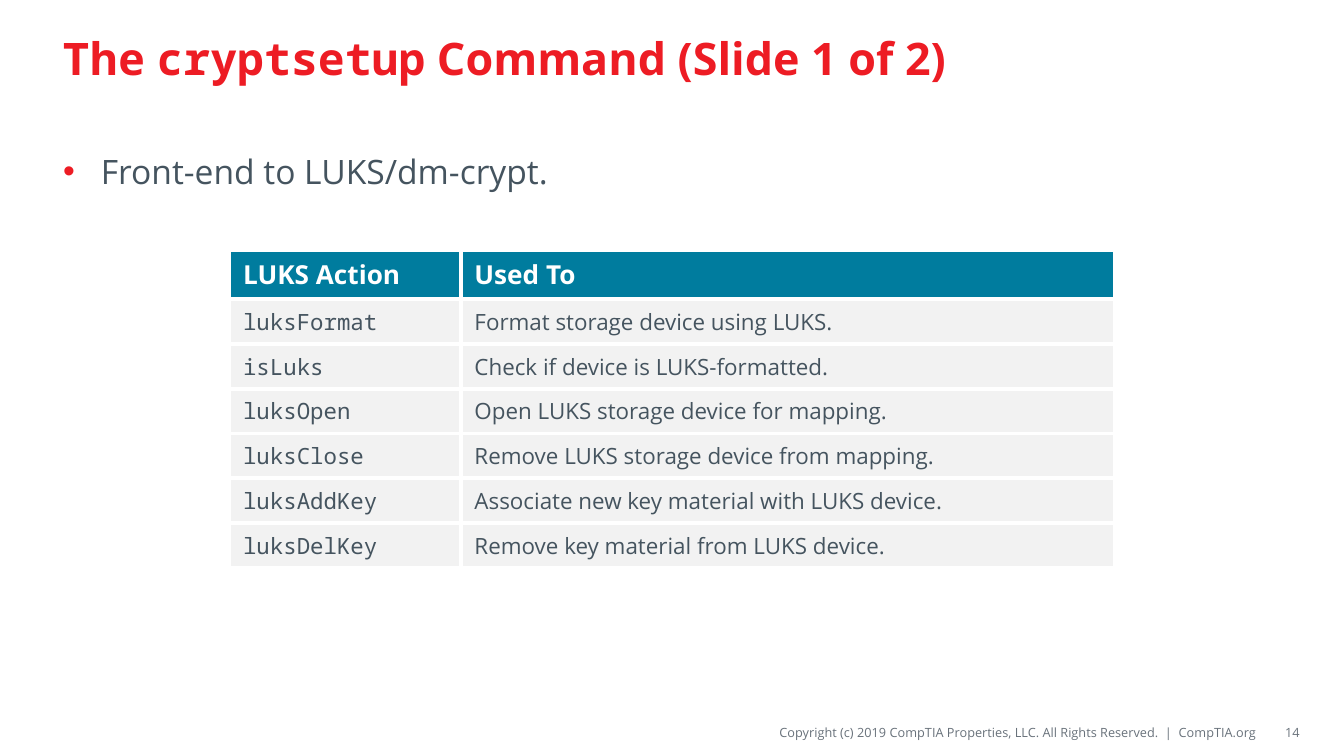
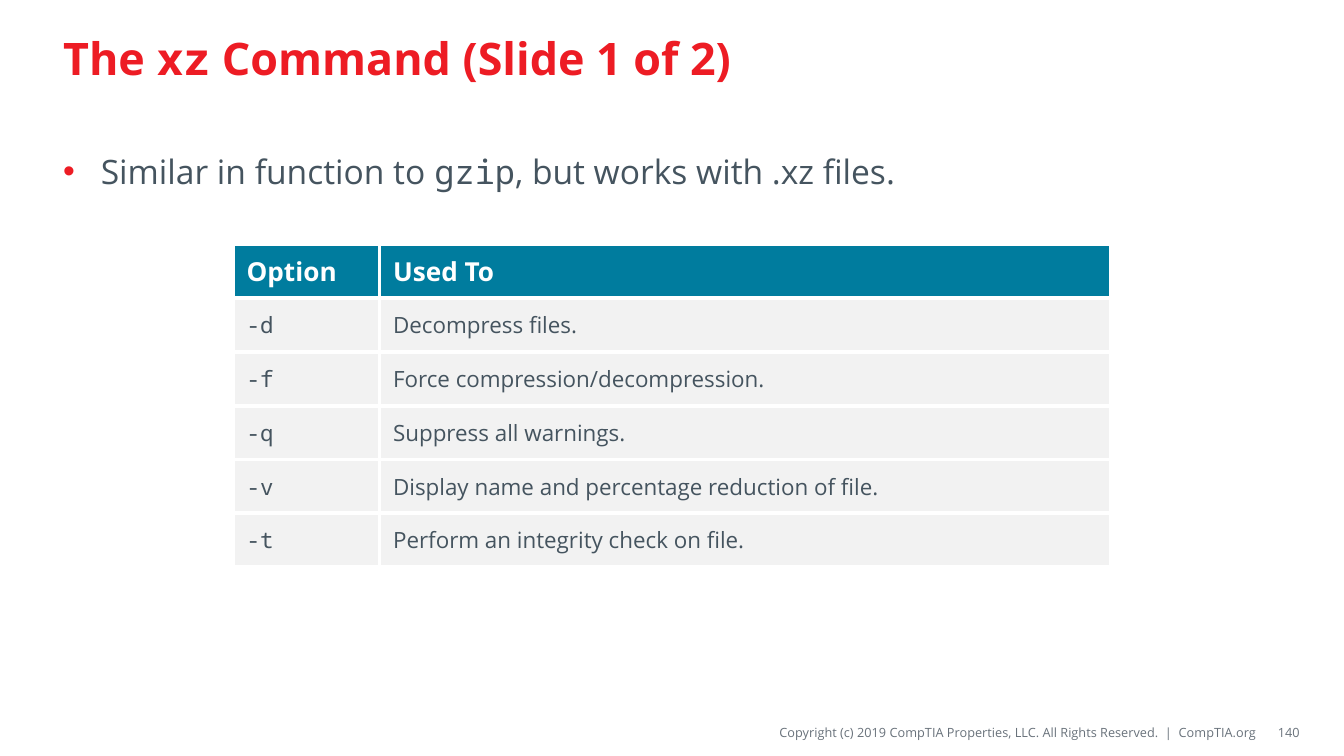
"""Build two slides on Linux commands, each with a title, a bullet and a table."""
import pptx
import pptx.dml.color
import pptx.enum.text
import pptx.oxml
import pptx.oxml.ns
import pptx.util

Pt = pptx.util.Pt
ALIGN = pptx.enum.text.PP_ALIGN
MIDDLE = pptx.enum.text.MSO_ANCHOR.MIDDLE

COLOURS = {
    "title": "ED1C24",
    "text": "45545F",
    "footer": "69727B",
    "header": "007C9E",
    "row": "F2F2F2",
    "white": "FFFFFF",
}
SANS, MONO = "Open Sans", "Noto Sans Mono"
PAGE_WIDTH, PAGE_HEIGHT = 720, 405
TITLE_AREA = (26.6, 5.8, 666, 49.7)
BODY_AREA = (26.6, 77, 666, 281)
COPYRIGHT_AREA = (279.4, 384.5, 393.8, 15.8)
NUMBER_AREA = (675.4, 384.5, 20.9, 15.8)
BULLET_INDENT = 20.2
BORDER_WIDTH = 2.25
COPYRIGHT = "Copyright (c) 2019 CompTIA Properties, LLC. All Rights Reserved.  |  CompTIA.org"

SLIDES = [
    {
        "number": "14",
        "title": "The `cryptsetup` Command (Slide 1 of 2)",
        "bullet": "Front-end to LUKS/dm-crypt.",
        "top": 134,
        "columns": (124, 350),
        "row_height": 24,
        "rows": [
            ("LUKS Action", "Used To"),
            ("`luksFormat`", "Format storage device using LUKS."),
            ("`isLuks`", "Check if device is LUKS-formatted."),
            ("`luksOpen`", "Open LUKS storage device for mapping."),
            ("`luksClose`", "Remove LUKS storage device from mapping."),
            ("`luksAddKey`", "Associate new key material with LUKS device."),
            ("`luksDelKey`", "Remove key material from LUKS device."),
        ],
    },
    {
        "number": "140",
        "title": "The `xz` Command (Slide 1 of 2)",
        "bullet": "Similar in function to `gzip`, but works with .xz files.",
        "top": 131,
        "columns": (78.5, 391.7),
        "row_height": 28.8,
        "rows": [
            ("Option", "Used To"),
            ("`-d`", "Decompress files."),
            ("`-f`", "Force compression/decompression."),
            ("`-q`", "Suppress all warnings."),
            ("`-v`", "Display name and percentage reduction of file."),
            ("`-t`", "Perform an integrity check on file."),
        ],
    },
]


def rgb(name):
    return pptx.dml.color.RGBColor.from_string(COLOURS[name])


def element(xml):
    return pptx.oxml.parse_xml(xml.replace(" ", f" {pptx.oxml.ns.nsdecls('a')} ", 1))


def write(frame, text, size, colour, bold=False, align=ALIGN.LEFT):
    """Fill a text frame, setting the parts between backticks in the mono font."""
    para = frame.paragraphs[0]
    para.alignment = align
    font = para.font
    font.name, font.size, font.bold = SANS, Pt(size), bold
    font.color.rgb = rgb(colour)
    for index, part in enumerate(text.split("`")):
        if part:
            span = para.add_run()
            span.text = part
            if index % 2:
                span.font.name = MONO


def place(shape, area):
    shape.left, shape.top, shape.width, shape.height = map(Pt, area)


def add_bullet(para):
    properties = para._p.get_or_add_pPr()
    properties.set("marL", str(Pt(BULLET_INDENT)))
    properties.set("indent", str(-Pt(BULLET_INDENT)))
    properties.append(element(
        f'<a:buClr ><a:srgbClr val="{COLOURS["title"]}"/></a:buClr>'))
    properties.append(element('<a:buFont typeface="Arial"/>'))
    properties.append(element('<a:buChar char="•"/>'))


def add_footer(page, text, area, insets):
    box = page.shapes.add_textbox(*map(Pt, area))
    frame = box.text_frame
    frame.word_wrap = True
    frame.vertical_anchor = MIDDLE
    frame.margin_left, frame.margin_right = Pt(insets[0]), 0
    frame.margin_top = frame.margin_bottom = Pt(insets[1])
    write(frame, text, 6.8, "footer", align=ALIGN.RIGHT)


def style_cell(cell, fill):
    properties = cell._tc.get_or_add_tcPr()
    for side in "LRTB":
        properties.append(element(
            f'<a:ln{side} w="{Pt(BORDER_WIDTH)}"><a:solidFill>'
            f'<a:srgbClr val="{COLOURS["white"]}"/></a:solidFill></a:ln{side}>'))
    cell.fill.solid()
    cell.fill.fore_color.rgb = rgb(fill)
    cell.vertical_anchor = MIDDLE


def add_table(page, content):
    rows, columns, height = content["rows"], content["columns"], content["row_height"]
    width = sum(columns)
    area = ((PAGE_WIDTH - width) / 2, content["top"], width, height * len(rows))
    table = page.shapes.add_table(len(rows), len(columns), *map(Pt, area)).table
    table.horz_banding = False
    for column, column_width in zip(table.columns, columns):
        column.width = Pt(column_width)
    for row_index, texts in enumerate(rows):
        table.rows[row_index].height = Pt(height)
        is_header = row_index == 0
        for column_index, text in enumerate(texts):
            cell = table.cell(row_index, column_index)
            style_cell(cell, "header" if is_header else "row")
            if is_header:
                write(cell.text_frame, text, 14, "white", bold=True)
            else:
                write(cell.text_frame, text, 12, "text")


def add_page(deck, content):
    page = deck.slides.add_slide(deck.slide_layouts[1])
    title, body = page.placeholders
    place(title, TITLE_AREA)
    title.text_frame.vertical_anchor = MIDDLE
    write(title.text_frame, content["title"], 24, "title", bold=True)
    place(body, BODY_AREA)
    add_bullet(body.text_frame.paragraphs[0])
    write(body.text_frame, content["bullet"], 18, "text")
    add_table(page, content)
    add_footer(page, COPYRIGHT, COPYRIGHT_AREA, (0, 2.9))
    add_footer(page, content["number"], NUMBER_AREA, (7.2, 3.6))


def main():
    deck = pptx.Presentation()
    deck.slide_width, deck.slide_height = Pt(PAGE_WIDTH), Pt(PAGE_HEIGHT)
    for content in SLIDES:
        add_page(deck, content)
    deck.save("out.pptx")


if __name__ == "__main__":
    main()
